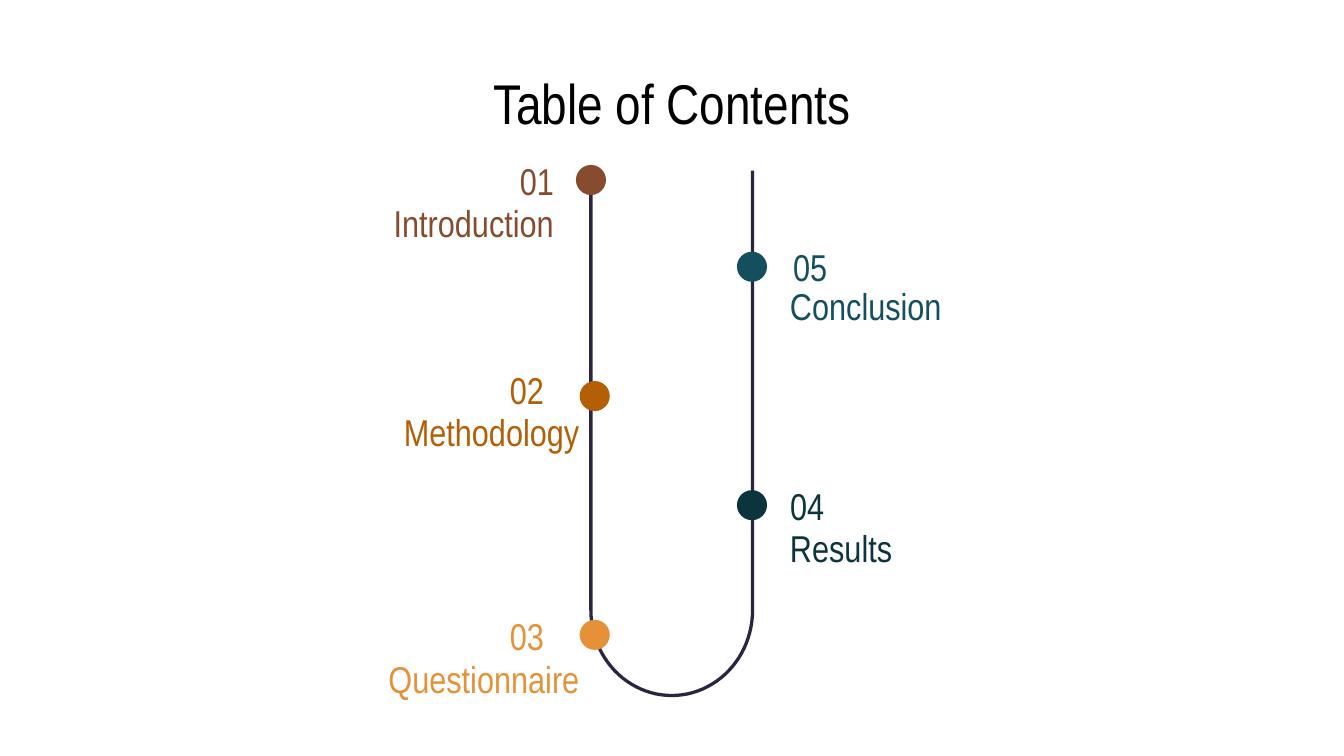
from math import cos, pi, sin
from pptx import Presentation
from pptx.dml.color import RGBColor
from pptx.enum.shapes import MSO_SHAPE
from pptx.enum.text import MSO_ANCHOR, MSO_AUTO_SIZE, PP_ALIGN
from pptx.util import Inches, Pt

OVAL = MSO_SHAPE.OVAL
MIDDLE = MSO_ANCHOR.MIDDLE
FIXED = MSO_AUTO_SIZE.NONE
LEFT, CENTER, RIGHT = PP_ALIGN.LEFT, PP_ALIGN.CENTER, PP_ALIGN.RIGHT

WIDTH = Inches(10)
HEIGHT = WIDTH * 9 // 16
CELL = WIDTH / 100  # the slide is a grid of 100 columns of square cells
FONT = "Arial Narrow"
COLORS = {
    "title": "000000", "track": "2D2442", "brown": "874C2E",
    "amber": "B45F06", "orange": "E69138", "dark": "0C343D", "teal": "134F5C",
}

# Number, word, color, dot (col, row), number (col, row, align), word (col, row, align)
STOPS = [
    ("01", "Introduction", "brown", (42.85, 12.27), (37, 11.9, RIGHT), (12.5, 14.8, RIGHT)),
    ("02", "Methodology", "amber", (43.13, 28.35), (36.95, 27.45, LEFT), (14.4, 30.3, RIGHT)),
    ("03", "Questionnaire", "orange", (43.13, 46.12), (36.95, 45.75, LEFT), (14.4, 48.7, RIGHT)),
    ("04", "Results", "dark", (54.83, 36.47), (57.8, 36.1, LEFT), (57.8, 38.95, LEFT)),
    ("05", "Conclusion", "teal", (54.83, 18.73), (58.03, 18.3, LEFT), (57.8, 20.94, LEFT)),
]


def grid(*cells):
    return [round(n * CELL) for n in cells]


def color(name):
    return RGBColor.from_string(COLORS[name])


def style(shape, text, size, tint, align):
    frame = shape.text_frame
    frame.text = text
    frame.word_wrap = True
    frame.auto_size = FIXED
    frame.vertical_anchor = MIDDLE
    frame.margin_left = frame.margin_right = round(CELL)
    frame.margin_top = frame.margin_bottom = round(CELL)
    line = frame.paragraphs[0]
    line.alignment = align
    font = line.runs[0].font
    font.name, font.size = FONT, Pt(size)
    font.color.rgb = color(tint)


def add_title(slide, text):
    title = slide.shapes.title
    title.left, title.top, title.width, title.height = grid(5, 4.45, 90, 6.3)
    style(title, text, 30, "title", CENTER)


def add_track(slide):
    # Two upright lines joined by half an ellipse
    left, right, top, bend, depth = 43.97, 56, 12.7, 45.4, 6.35
    mid, half, steps = (left + right) / 2, (right - left) / 2, 48
    angles = [pi * i / steps for i in range(steps + 1)]
    curve = [(mid - half * cos(a), bend + depth * sin(a)) for a in angles]
    points = [grid(*p) for p in curve + [(right, top)]]
    build = slide.shapes.build_freeform(*grid(left, top))
    build.add_line_segments(points, close=False)
    track = build.convert_to_shape()
    track.shadow.inherit = False
    track.fill.background()
    track.line.color.rgb = color("track")
    track.line.width = Pt(1.75)


def add_dot(slide, col, row, tint):
    dot = slide.shapes.add_shape(OVAL, *grid(col, row, 2.24, 2.24))
    dot.shadow.inherit = False
    dot.fill.solid()
    dot.fill.fore_color.rgb = color(tint)
    dot.line.fill.background()


def add_label(slide, text, place, size, tint):
    col, row, align = place
    box = slide.shapes.add_textbox(*grid(col, row, *size))
    style(box, text, 20, tint, align)


def main():
    deck = Presentation()
    deck.slide_width, deck.slide_height = WIDTH, HEIGHT
    slide = deck.slides.add_slide(deck.slide_layouts[5])
    add_title(slide, "Table of Contents")
    add_track(slide)
    for number, word, tint, dot, num_at, word_at in STOPS:
        add_dot(slide, *dot, tint)
        add_label(slide, number, num_at, (5.2, 3.1), tint)
        add_label(slide, word, word_at, (29.7, 3.6), tint)
    deck.save("out.pptx")


if __name__ == "__main__":
    main()
